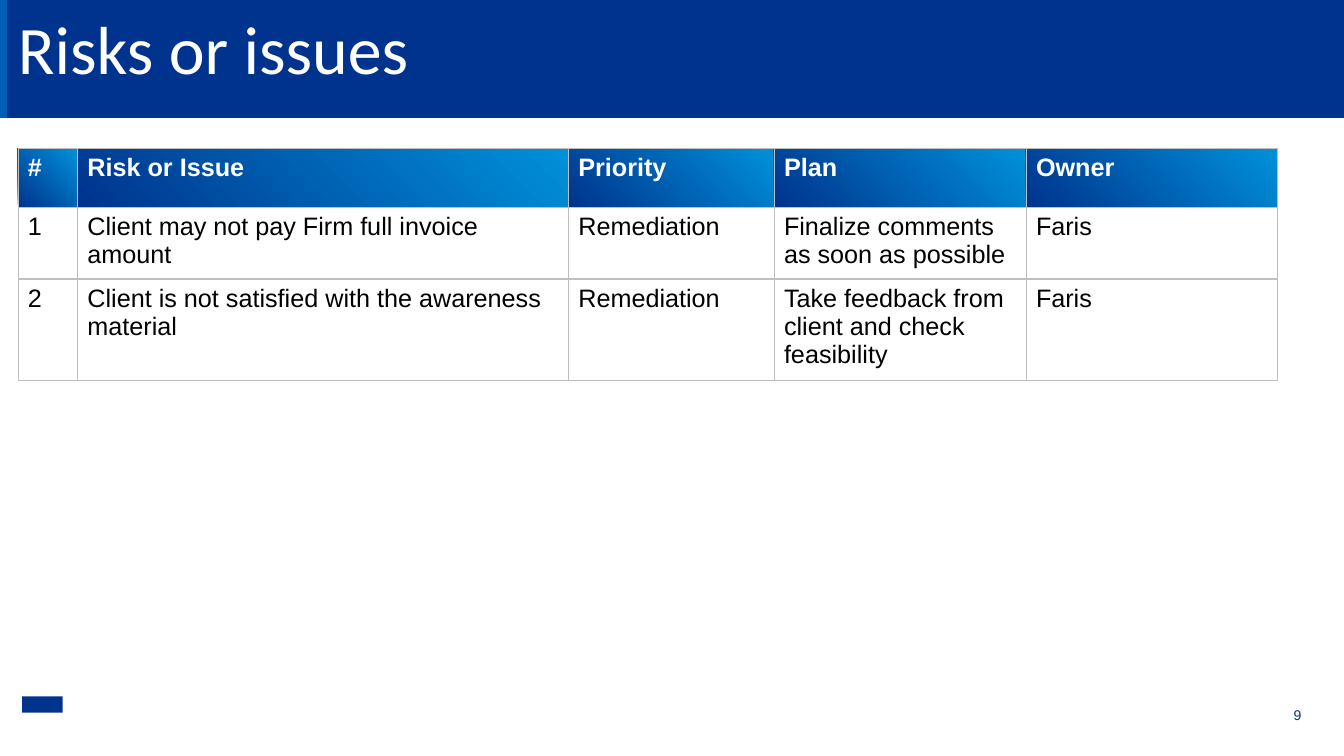
import pptx
import pptx.util
import pptx.dml.color
import pptx.enum.shapes
import pptx.enum.text
import pptx.oxml
from pptx.util import Pt

INK = {"navy": "00338D", "blue": "005EB8", "sky": "0091DA",
       "grid": "BFBFBF", "white": "FFFFFF", "black": "000000"}
TITLE = "Risks or issues"
PAGE = "9"
HEAD = ["#", "Risk or Issue", "Priority", "Plan", "Owner"]
RISKS = [
    ["1", "Client may not pay Firm full invoice amount", "Remediation",
     "Finalize comments as soon as possible", "Faris"],
    ["2", "Client is not satisfied with the awareness material", "Remediation",
     "Take feedback from client and check feasibility", "Faris"],
]
TABLES = [(105.9, [HEAD, RISKS[0]]), (199.5, [RISKS[1]])]
COLS = [42.5, 350.7, 146.9, 180, 179.5]
ROW = 42.5
LEFT = 12.75
WIDE, HIGH = 960, 540
BAND = (-0.7, 85)
BLOCKS = [
    ("navy", 0, BAND[0], WIDE, BAND[1]),
    ("blue", 0, BAND[0], 5, BAND[1]),
    ("navy", 15.9, 497.5, 28.8, 11.5),
]


def color(name):
    return pptx.dml.color.RGBColor.from_string(INK[name])


def write(frame, text, size=18, font="Arial", ink="black", bold=False,
          align="LEFT", space=None):
    para = frame.paragraphs[0]
    para.alignment = getattr(pptx.enum.text.PP_ALIGN, align)
    if space:
        para.line_spacing = space
    run = para.add_run()
    run.text = text
    run.font.size = Pt(size)
    run.font.name = font
    run.font.bold = bold
    run.font.color.rgb = color(ink)


def block(slide, ink, *place):
    kind = pptx.enum.shapes.MSO_SHAPE.RECTANGLE
    rect = slide.shapes.add_shape(kind, *map(Pt, place))
    rect.shadow.inherit = False
    rect.fill.solid()
    rect.fill.fore_color.rgb = color(ink)
    rect.line.fill.background()


def label(slide, place, text, anchor="TOP", **form):
    frame = slide.shapes.add_textbox(*map(Pt, place)).text_frame
    frame.word_wrap = True
    frame.margin_left = frame.margin_right = 0
    frame.margin_top = frame.margin_bottom = 0
    frame.vertical_anchor = getattr(pptx.enum.text.MSO_ANCHOR, anchor)
    write(frame, text, **form)


def border(cell):
    props = cell._tc.get_or_add_tcPr()
    for spot, side in enumerate(("lnL", "lnR", "lnT", "lnB")):
        props.insert(spot, pptx.oxml.parse_xml(
            f'<a:{side} xmlns:a="http://schemas.openxmlformats.org/drawingml/2006/main"'
            f' w="{Pt(0.5)}"><a:solidFill><a:srgbClr val="{INK["grid"]}"/>'
            f'</a:solidFill></a:{side}>'))


def shade(cell, head):
    if not head:
        cell.fill.background()
        return
    cell.fill.gradient()
    cell.fill.gradient_angle = 45
    for stop, ink in zip(cell.fill.gradient_stops, ("navy", "sky")):
        stop.color.rgb = color(ink)


def grid(slide, top, rows):
    place = (LEFT, top, sum(COLS), ROW * len(rows))
    table = slide.shapes.add_table(len(rows), len(COLS), *map(Pt, place)).table
    table.first_row = rows[0] is HEAD
    table.horz_banding = False
    for col, width in zip(table.columns, COLS):
        col.width = Pt(width)
    for y, row in enumerate(rows):
        table.rows[y].height = Pt(ROW)
        head = row is HEAD
        for x, text in enumerate(row):
            cell = table.cell(y, x)
            shade(cell, head)
            border(cell)
            write(cell.text_frame, text, bold=head,
                  ink="white" if head else "black")


def main():
    deck = pptx.Presentation()
    deck.slide_width, deck.slide_height = Pt(WIDE), Pt(HIGH)
    slide = deck.slides.add_slide(deck.slide_layouts[6])
    for item in BLOCKS:
        block(slide, *item)
    label(slide, (LEFT, 20.9, 642, 33), TITLE, size=48.5, font="Calibri",
          ink="white", space=0.7)
    label(slide, (803.5, 505.4, 126, 11.5), PAGE, anchor="BOTTOM", size=10,
          ink="navy", align="RIGHT")
    for top, rows in TABLES:
        grid(slide, top, rows)
    deck.save("out.pptx")


if __name__ == "__main__":
    main()
